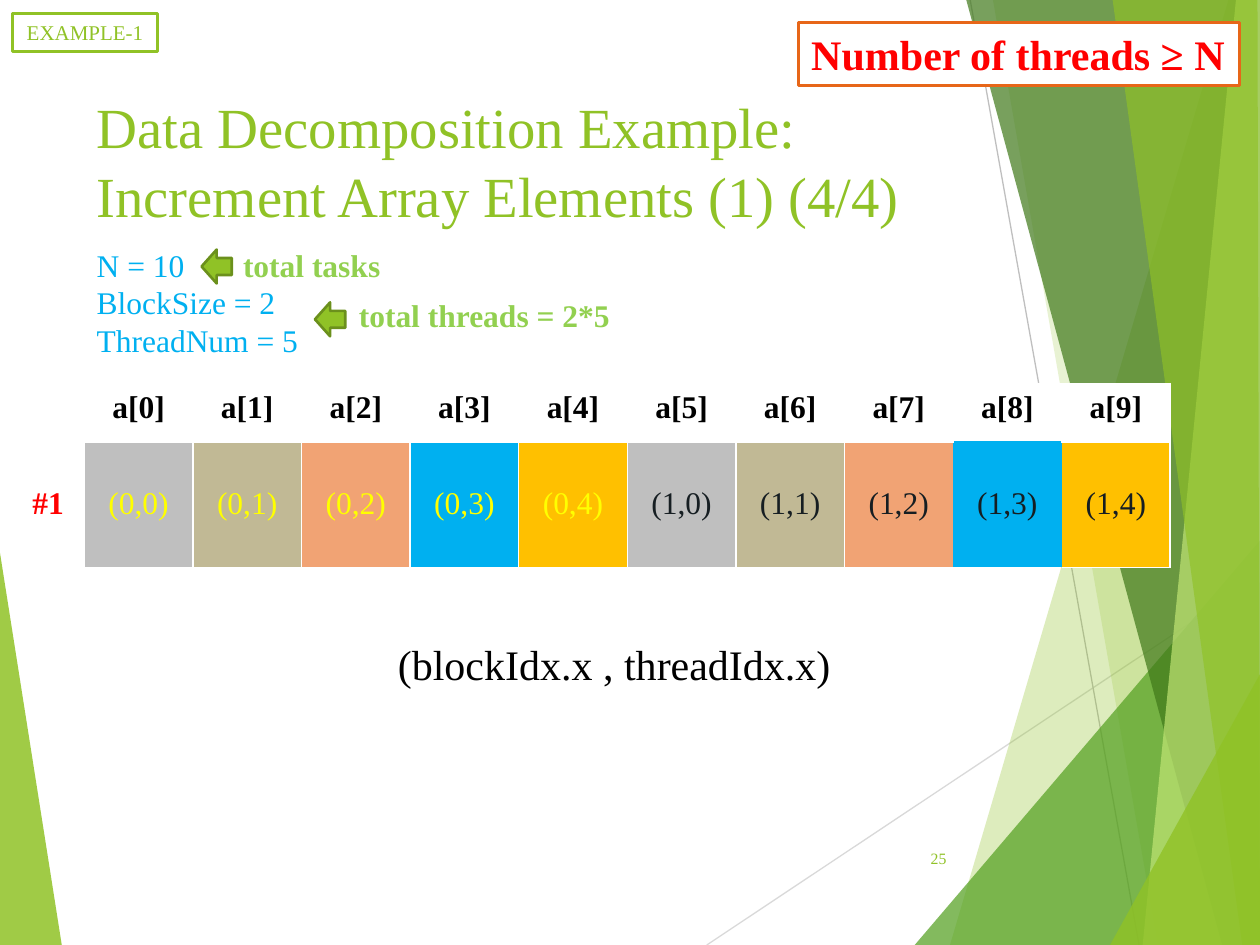
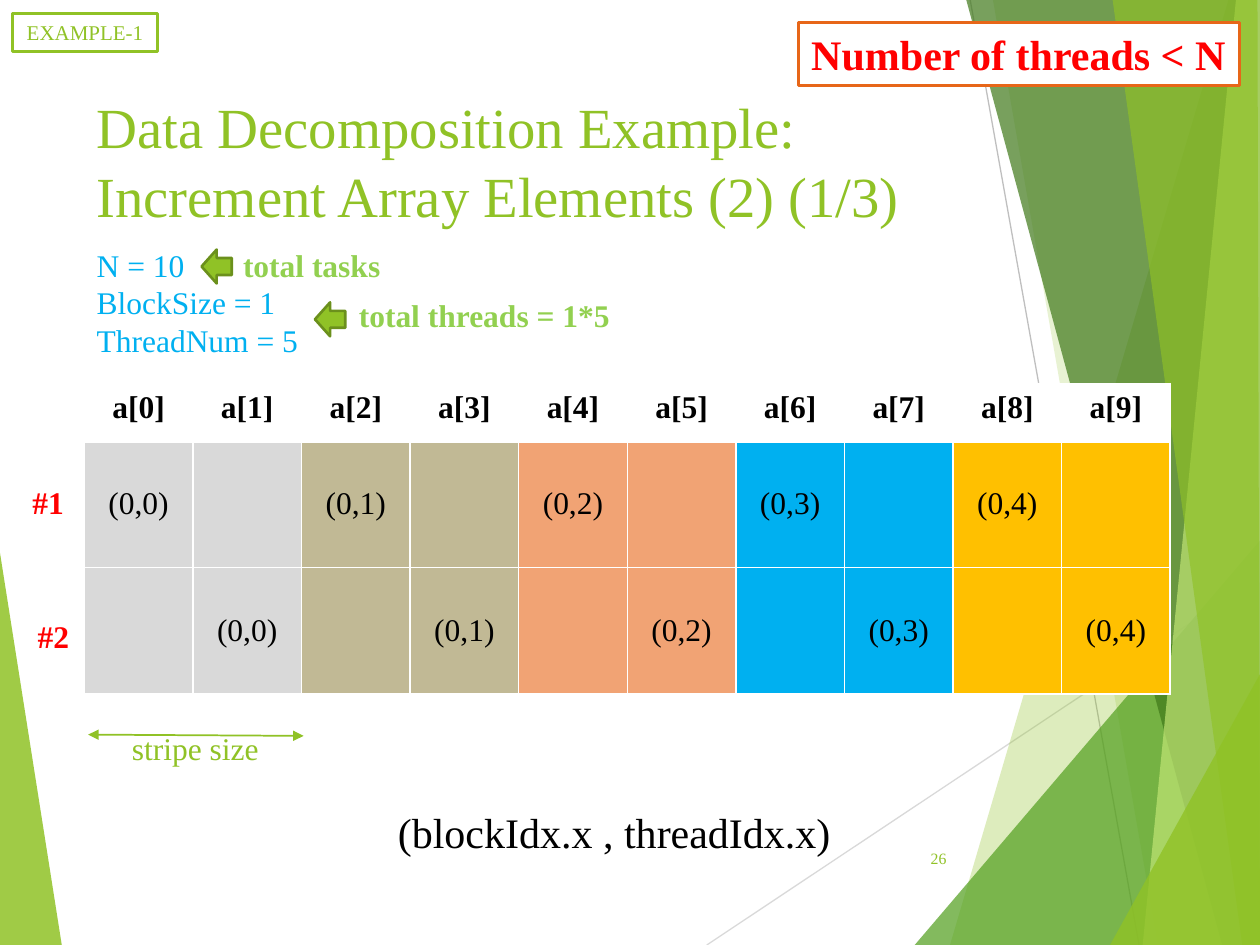
from lxml.etree import SubElement
from pptx import Presentation
from pptx.dml.color import RGBColor
from pptx.enum.shapes import MSO_CONNECTOR as Connector, MSO_SHAPE as Shape
from pptx.enum.text import MSO_ANCHOR as Anchor, PP_ALIGN as Align
from pptx.oxml.ns import qn
from pptx.util import Pt

FONT = "Times New Roman"
COLORS = {
    "white": "FFFFFF", "black": "000000", "ink": "161E22", "red": "FF0000",
    "yellow": "FFFF00", "green": "90C226", "leaf": "54A021", "forest": "3F7819",
    "lime": "C0E474", "olive": "6B901C", "label": "92D050", "orange": "E76618",
    "blue": "00B0F0", "gold": "FFC000", "sand": "C1B995", "peach": "F1A374",
    "gray": "BFBFBF", "pale gray": "D9D9D9",
}
COLORS = {name: RGBColor.from_string(value) for name, value in COLORS.items()}

# Backdrop panels: colour, opacity in percent, corners
PANELS = [
    ("green", 85, [(0, 316), (35.3, 540), (0, 540)]),
    ("green", 30, [(702, 0), (542.9, 540), (720, 540), (720, 0)]),
    ("green", 20, [(567.4, 0), (661.7, 540), (720, 540), (720, 0)]),
    ("leaf", 72, [(522.7, 540), (720, 308.9), (720, 540)]),
    ("forest", 70, [(552.2, 0), (698.4, 540), (720, 540), (720, 0)]),
    ("lime", 70, [(706.3, 0), (653, 540), (720, 540), (720, 0)]),
    ("green", 65, [(635.8, 0), (709.9, 540), (720, 540), (718.6, 0)]),
    ("green", 80, [(634.3, 540), (720, 385.2), (720, 540)]),
]
BACK_LINES = [("pale gray", (403.9, 540, 720, 329.5)), ("gray", (554.4, 0, 650.9, 540))]

# What differs between the slides; each table row holds (text, fill, text colour)
THREAD_FILLS = ["sand", "peach", "blue", "gold"]
wide_fills = ["gray"] + THREAD_FILLS
stripe_fills = ["pale gray"] + THREAD_FILLS
one_pass = [[(f"({block},{thread})", wide_fills[thread], ("yellow", "ink")[block])
             for block in range(2) for thread in range(5)]]
two_passes = [[(f"(0,{column // 2})" if column % 2 == step else "",
                stripe_fills[column // 2], "black") for column in range(10)]
              for step in range(2)]
SLIDES = [
    {"number": 25, "part": "(1) (4/4)", "sign": "≥", "blocks": 2,
     "rows": one_pass, "bare": 8, "caption top": 361.4},
    {"number": 26, "part": "(2) (1/3)", "sign": "<", "blocks": 1,
     "rows": two_passes, "bare": None, "caption top": 457.2},
]


def write(shape, lines, size, color, bold=False, align=Align.LEFT, anchor=Anchor.TOP):
    frame = shape.text_frame
    frame.word_wrap = True
    frame.vertical_anchor = anchor
    for index, line in enumerate(lines):
        paragraph = frame.add_paragraph() if index else frame.paragraphs[0]
        paragraph.alignment = align
        run = paragraph.add_run()
        run.text = line
        run.font.name, run.font.size, run.font.bold = FONT, Pt(size), bold
        run.font.color.rgb = COLORS[color]
    return frame


def add_line(slide, ends, color, width):
    connector = slide.shapes.add_connector(Connector.STRAIGHT, *map(Pt, ends))
    connector.line.color.rgb = COLORS[color]
    connector.line.width = Pt(width)
    SubElement(connector._element.spPr, qn("a:effectLst"))
    return connector


presentation = Presentation()
presentation.slide_width, presentation.slide_height = Pt(720), Pt(540)

for content in SLIDES:
    slide = presentation.slides.add_slide(presentation.slide_layouts[6])
    shapes = slide.shapes

    # Backdrop
    for index, (color, opacity, corners) in enumerate(PANELS):
        points = [(Pt(x), Pt(y)) for x, y in corners]
        builder = shapes.build_freeform(*points[0])
        builder.add_line_segments(points[1:])
        panel = builder.convert_to_shape()
        panel.shadow.inherit = False
        panel.line.fill.background()
        panel.fill.solid()
        panel.fill.fore_color.rgb = COLORS[color]
        tint = panel._element.spPr.find(".//" + qn("a:srgbClr"))
        SubElement(tint, qn("a:alpha"), val=str(opacity * 1000))
        if index == 0:
            for line_color, ends in BACK_LINES:
                add_line(slide, ends, line_color, 0.75)

    # Title
    title = shapes.add_textbox(Pt(48.2), Pt(48.2), Pt(499.7), Pt(103.7))
    frame = write(title, ["Data Decomposition Example:",
                          f"Increment Array Elements {content['part']}"], 32.4, "green")
    for paragraph in frame.paragraphs:
        paragraph.line_spacing = Pt(39.4)

    # Array table
    rows = [[(f"a[{column}]", "white", "black") for column in range(10)]] + content["rows"]
    heights = [32.4] + [72.4] * len(content["rows"])
    table = shapes.add_table(len(rows), 10, Pt(48.2), Pt(219.4), Pt(620.6),
                             Pt(sum(heights))).table
    for column in table.columns:
        column.width = Pt(62.06)
    for r, row in enumerate(rows):
        table.rows[r].height = Pt(heights[r])
        for c, (text, fill, color) in enumerate(row):
            cell = table.cell(r, c)
            bare = content["bare"]
            # The bare cell has no borders, so its neighbours drop the shared ones
            hidden = {(1, bare): "LRTB", (0, bare): "B"}.get((r, c), "")
            if bare and r == 1:
                hidden += {bare - 1: "R", bare + 1: "L"}.get(c, "")
            for side in "LRTB":
                heavy = (r, side) in [(0, "B"), (1, "T")]
                border = SubElement(cell._tc.get_or_add_tcPr(), qn(f"a:ln{side}"),
                                    w=str(Pt(3 if heavy else 1)))
                if side in hidden:
                    SubElement(border, qn("a:noFill"))
                else:
                    paint = SubElement(border, qn("a:solidFill"))
                    SubElement(paint, qn("a:srgbClr"), val=str(COLORS["white"]))
            cell.fill.solid()
            cell.fill.fore_color.rgb = COLORS[fill]
            if r:
                cell.vertical_anchor = Anchor.MIDDLE
            if text:
                paragraph = cell.text_frame.paragraphs[0]
                paragraph.alignment = Align.CENTER
                run = paragraph.add_run()
                run.text = text
                run.font.name, run.font.size, run.font.bold = FONT, Pt(18), r == 0
                run.font.color.rgb = COLORS[color]

    # Slide number
    number = shapes.add_textbox(Pt(507.6), Pt(475.9), Pt(40.3), Pt(28.8))
    write(number, [str(content["number"])], 9, "green", align=Align.RIGHT,
          anchor=Anchor.MIDDLE)

    # Parameters, caption and pass labels
    blocks = content["blocks"]
    parameters = shapes.add_textbox(Pt(48.2), Pt(136.8), Pt(298), Pt(72.7))
    write(parameters, ["N = 10", f"BlockSize = {blocks}", "ThreadNum = 5"], 18, "blue")
    caption = shapes.add_textbox(Pt(220.3), Pt(content["caption top"]), Pt(276.5), Pt(36))
    write(caption, ["(blockIdx.x , threadIdx.x)"], 24, "black")
    for step, (left, top) in enumerate([(11.5, 272.2), (14.4, 349.2)][:len(content["rows"])]):
        label = shapes.add_textbox(Pt(left), Pt(top), Pt(36), Pt(28.8))
        write(label, [f"#{step + 1}"], 18, "red", bold=True)

    # Stripe size marker
    if len(content["rows"]) == 2:
        marker = add_line(slide, (50.4, 419.8, 173.5, 420.5), "green", 1)
        for end in ("headEnd", "tailEnd"):
            SubElement(marker.line._get_or_add_ln(), qn(f"a:{end}"), type="triangle")
        stripe = shapes.add_textbox(Pt(50.4), Pt(413.3), Pt(122.4), Pt(30.2))
        write(stripe, ["stripe size"], 18, "green", align=Align.CENTER)

    # Framed tags
    for text, box, size, color, outline, bold, align in [
        ("EXAMPLE-1", (7.2, 7.9, 82.8, 21.6), 12, "green", "green", False, Align.CENTER),
        (f"Number of threads {content['sign']} N", (456.5, 13, 252, 36), 24, "red",
         "orange", True, Align.LEFT),
    ]:
        tag = shapes.add_shape(Shape.RECTANGLE, *map(Pt, box))
        tag.shadow.inherit = False
        tag.fill.solid()
        tag.fill.fore_color.rgb = COLORS["white"]
        tag.line.color.rgb = COLORS[outline]
        tag.line.width = Pt(1.5)
        write(tag, [text], size, color, bold, align)

    # Arrows with remarks
    for text, arrow_left, arrow_top, left, top in [
        ("total tasks", 115.2, 142.6, 131.8, 136.8),
        (f"total threads = {blocks}*5", 180, 172.8, 198, 165.6),
    ]:
        arrow = shapes.add_shape(Shape.LEFT_ARROW, Pt(arrow_left), Pt(arrow_top),
                                 Pt(17.3), Pt(19.4))
        arrow.shadow.inherit = False
        arrow.fill.solid()
        arrow.fill.fore_color.rgb = COLORS["green"]
        arrow.line.color.rgb = COLORS["olive"]
        arrow.line.width = Pt(1.5)
        remark = shapes.add_textbox(Pt(left), Pt(top), Pt(180), Pt(28.8))
        write(remark, [text], 18, "label", bold=True)

presentation.save("out.pptx")
